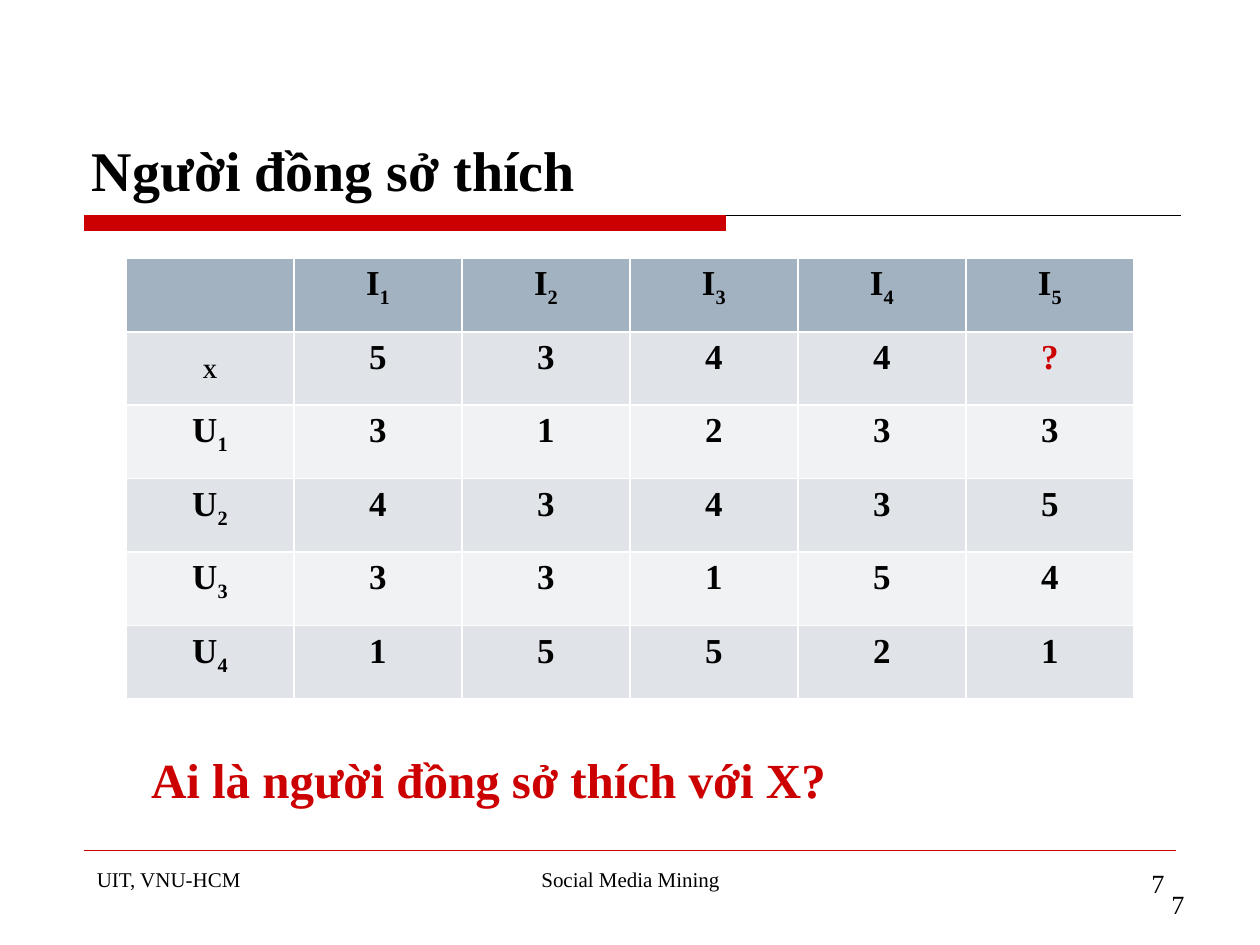
from pptx import Presentation
from pptx.enum import shapes, text
from pptx.oxml.ns import qn
from pptx.dml.color import RGBColor
from pptx.util import Inches, Pt

FONT = "Times New Roman"
COLORS = {"ink": "000000", "red": "CC0000", "header": "A3B2C1",
          "band_dark": "E0E4E9", "band_light": "F0F2F4"}
ALIGN = text.PP_ALIGN

ITEMS = ["", "I1", "I2", "I3", "I4", "I5"]
RATINGS = [["X", "5", "3", "4", "4", "?"],
           ["U1", "3", "1", "2", "3", "3"],
           ["U2", "4", "3", "4", "3", "5"],
           ["U3", "3", "3", "1", "5", "4"],
           ["U4", "1", "5", "5", "2", "1"]]


def rgb(name):
    return RGBColor.from_string(COLORS[name])


def style_run(r, size, color="ink", bold=False):
    r.font.name = FONT
    r.font.size = Pt(size)
    r.font.bold = bold
    r.font.color.rgb = rgb(color)


def add_rule(s, x1, x2, y, color):
    """Draw a thin horizontal line."""
    line = s.shapes.add_connector(shapes.MSO_CONNECTOR.STRAIGHT,
                                  Inches(x1), Inches(y), Inches(x2), Inches(y))
    line.line.color.rgb = rgb(color)
    line.line.width = Pt(0.75)
    line._element.spPr.append(line._element.makeelement(qn("a:effectLst"), {}))


def add_label(s, x, y, w, h, words, size, align=ALIGN.LEFT, **look):
    tf = s.shapes.add_textbox(Inches(x), Inches(y), Inches(w), Inches(h)).text_frame
    tf.word_wrap = True
    tf.text = words
    p = tf.paragraphs[0]
    p.alignment = align
    style_run(p.runs[0], size, **look)


def add_heading(s, x, y, w, h):
    """Place the title with the red bar and rule beneath it."""
    title = s.shapes.title
    title.left, title.top, title.width, title.height = map(Inches, (x, y, w, h))
    tf = title.text_frame
    tf.text = "Người đồng sở thích"
    tf.vertical_anchor = text.MSO_ANCHOR.BOTTOM
    p = tf.paragraphs[0]
    p.alignment = ALIGN.JUSTIFY
    style_run(p.runs[0], 32, bold=True)

    left, top = x + 0.04, y + h + 0.05
    add_rule(s, left, x + w - 0.01, top, "ink")
    bar = s.shapes.add_shape(shapes.MSO_SHAPE.RECTANGLE, Inches(left),
                             Inches(top), Inches(5.09), Inches(0.12))
    bar.shadow.inherit = False
    bar.fill.solid()
    bar.fill.fore_color.rgb = rgb("red")
    bar.line.color.rgb = rgb("red")
    bar.line.width = Pt(0.75)


def fill_cell(cell, words, fill):
    """Write a rating, or a letter with its index as subscript."""
    cell.fill.solid()
    cell.fill.fore_color.rgb = rgb(fill)
    p = cell.text_frame.paragraphs[0]
    p.alignment = ALIGN.CENTER
    is_name = words[:1].isalpha()
    parts = words if is_name else [words] if words else []
    for part in parts:
        r = p.add_run()
        r.text = part
        style_run(r, 20, "red" if part == "?" else "ink", bold=True)
        if is_name and (part.isdigit() or part == "X"):
            r.font._element.set("baseline", "-25000")


def add_ratings(s, x, y, w, h):
    rows = [ITEMS] + RATINGS
    table = s.shapes.add_table(len(rows), len(ITEMS), Inches(x), Inches(y),
                               Inches(w), Inches(h)).table
    for i, row in enumerate(rows):
        fill = "header" if i == 0 else "band_dark" if i % 2 else "band_light"
        for j, words in enumerate(row):
            fill_cell(table.cell(i, j), words, fill)


def add_footer(s, x, y, w, h):
    add_rule(s, x, x + w, y - 0.08, "red")
    add_label(s, x, y, 2.17, h, "UIT, VNU-HCM", 12)
    add_label(s, x + 2.75, y, 3.17, h, "Social Media Mining", 12, ALIGN.CENTER)
    for dx, dy in ((0, 0), (0.16, 0.17)):
        add_label(s, x + 6.5 + dx, y + dy, 2.17, h, "7", 15, ALIGN.RIGHT)


def main():
    prs = Presentation()
    prs.slide_width, prs.slide_height = Inches(10), Inches(7.5)
    s = prs.slides.add_slide(prs.slide_layouts[5])
    add_heading(s, 0.63, 0.33, 8.75, 1.33)
    add_footer(s, 0.67, 6.83, 8.66, 0.52)
    add_label(s, 1.1, 5.9, 5.62, 0.57, "Ai là người đồng sở thích với X?", 28,
              color="red", bold=True)
    add_ratings(s, 1, 2.05, 8, 3.5)
    prs.save("out.pptx")


if __name__ == "__main__":
    main()
